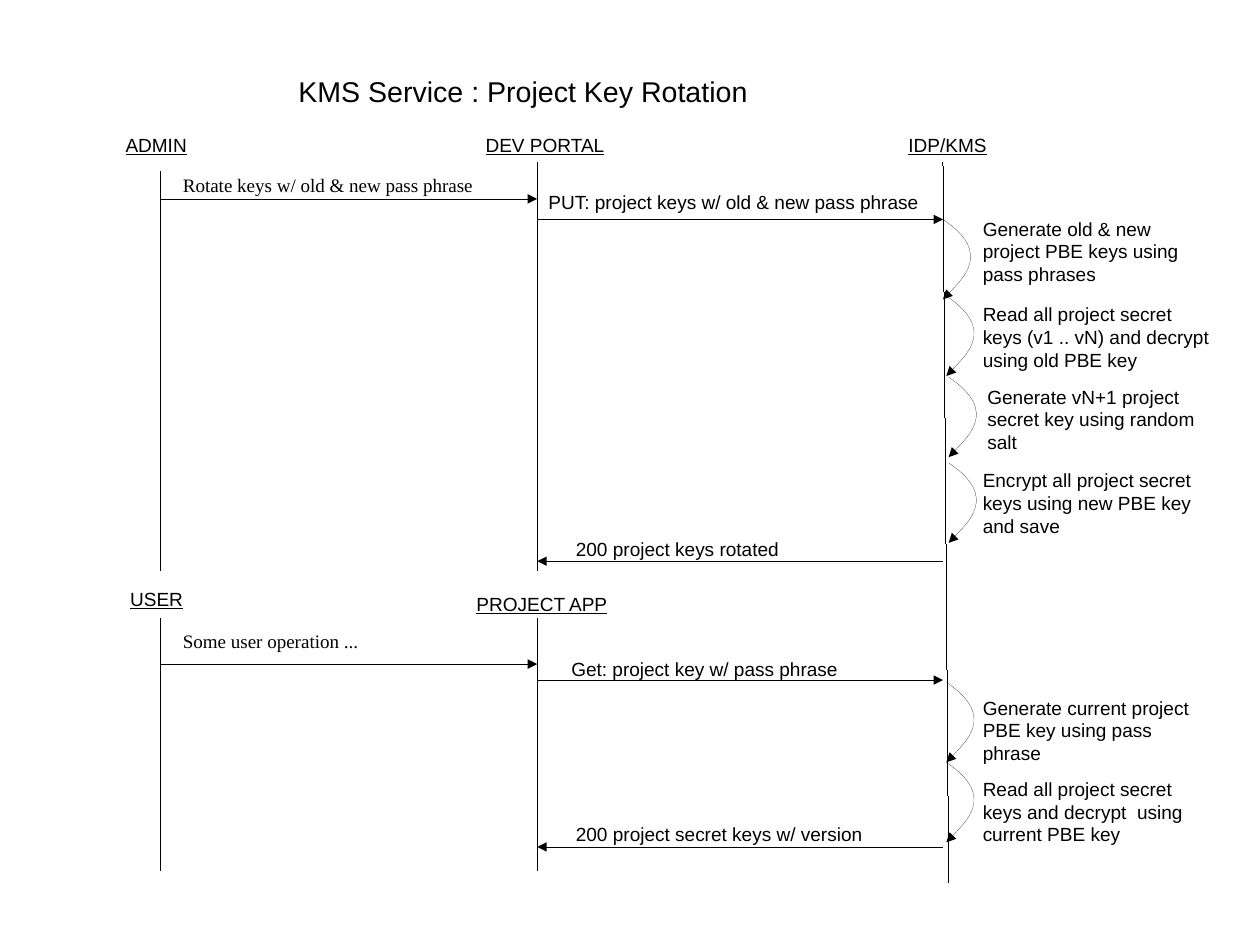
from lxml.etree import SubElement
from pptx import Presentation
from pptx.dml.color import RGBColor
from pptx.enum.shapes import MSO_CONNECTOR, MSO_SHAPE
from pptx.enum.text import MSO_ANCHOR, MSO_AUTO_SIZE, PP_ALIGN
from pptx.oxml.ns import qn
from pptx.util import Inches, Pt

COLORS = {"ink": "000000", "paper": "FFFFFF"}
CM_PER_INCH = 2.54
ADMIN, PORTAL, SERVICE = 0, 3.3, 6.85
SERIF = "Times New Roman"

ROTATION = {
    "actors": [("ADMIN", -0.4, 0, 1), ("DEV PORTAL", 2.75, 0, 1.5), ("IDP/KMS", 6.45, 0, 1)],
    "messages": [
        (ADMIN, PORTAL, 0.62, "Rotate keys w/ old & new pass phrase", (0.2, 0.4, 2.6, 0.19), SERIF),
        (PORTAL, SERVICE, 0.8, "PUT: project keys w/ old & new pass phrase", (3.3, 0.5, 3.47, 0.29), "Arial"),
        (SERVICE, PORTAL, 3.79, "200 project keys rotated", (3.54, 3.53, 2.6, 0.29), "Arial"),
    ],
    "steps": [
        (6.85, 0.8, 7.1, 0.73, "Generate old & new project PBE keys using pass phrases"),
        (6.88, 1.47, 7.1, 1.48, "Read all project secret keys (v1 .. vN) and decrypt using old PBE key"),
        (6.9, 2.18, 7.14, 2.2, "Generate vN+1 project secret key using random salt"),
        (6.9, 2.93, 7.1, 2.93, "Encrypt all project secret keys using new PBE key and save"),
    ],
}
USAGE = {
    "actors": [("USER", -0.36, 0.09, 1), ("PROJECT APP", 2.67, 0.13, 1.46)],
    "messages": [
        (ADMIN, PORTAL, 0.81, "Some user operation ...", (0.2, 0.51, 2.6, 0.19), SERIF),
        (PORTAL, SERVICE, 0.95, "Get: project key w/ pass phrase", (3.5, 0.7, 2.6, 0.29), "Arial"),
        (SERVICE, PORTAL, 2.41, "200 project secret keys w/ version", (3.54, 2.15, 2.86, 0.29), "Arial"),
    ],
    "steps": [
        (6.88, 0.97, 7.1, 1.04, "Generate current project PBE key using pass phrase"),
        (6.88, 1.67, 7.1, 1.75, "Read all project secret keys and decrypt  using current PBE key"),
    ],
}


def color(name):
    """Return a named colour."""
    return RGBColor.from_string(COLORS[name])


def style_line(shape, name, arrow=False):
    """Give a shape a plain hairline, with an arrowhead if asked."""
    shape._element.remove(shape._element.find(qn("p:style")))
    shape.line.color.rgb = color(name)
    outline = shape.line._get_or_add_ln()
    outline.set("w", "0")
    if arrow:
        SubElement(outline, qn("a:tailEnd"), type="triangle")


def add_line(page, start, end, arrow=False):
    """Draw a straight line between two points in inches."""
    line = page.shapes.add_connector(MSO_CONNECTOR.STRAIGHT, *map(Inches, start + end))
    style_line(line, "ink", arrow)
    SubElement(line._element.spPr, qn("a:effectLst"))


def add_loop(page, left, top, width=0.2, height=0.7):
    """Draw a curved arrow that returns to its lifeline."""
    builder = page.shapes.build_freeform(Inches(left), Inches(top))
    corners = [(left + width, top + height / 2), (left, top + height)]
    builder.add_line_segments([(Inches(x), Inches(y)) for x, y in corners], close=False)
    loop = builder.convert_to_shape()
    path = loop._element.find(".//" + qn("a:path"))
    for segment in path.findall(qn("a:lnTo")):
        path.remove(segment)
    curve = SubElement(path, qn("a:cubicBezTo"))
    for x, y in [(0.45, 0.3), (0, height), (0, height)]:
        SubElement(curve, qn("a:pt"), x=str(Inches(x)), y=str(Inches(y)))
    loop.fill.background()
    loop.shadow.inherit = False
    style_line(loop, "ink", True)


def format_text(frame, text, size, font="Arial", underline=None):
    """Fill a text frame with one formatted paragraph."""
    frame.text = text
    frame.word_wrap = True
    frame.auto_size = MSO_AUTO_SIZE.SHAPE_TO_FIT_TEXT
    frame.vertical_anchor = MSO_ANCHOR.TOP
    para = frame.paragraphs[0]
    para.alignment = PP_ALIGN.LEFT
    for span in para.runs:
        span.font.size = Pt(size)
        span.font.name = font
        span.font.underline = underline
        span.font.color.rgb = color("ink")


def add_label(page, box, text, font="Arial", underline=None):
    """Place a 12 point label in a box given in inches."""
    frame = page.shapes.add_textbox(*map(Inches, box)).text_frame
    if font == SERIF:
        frame.margin_left = frame.margin_top = frame.margin_right = frame.margin_bottom = 0
    format_text(frame, text, 12, font, underline)


def add_title(page, box):
    """Move the title placeholder into its box and fill it."""
    title = page.shapes.title
    title.left, title.top, title.width, title.height = map(Inches, box)
    format_text(title.text_frame, "KMS Service : Project Key Rotation", 18)


def add_lifelines(page, left, top):
    """Draw the three lifelines and the gaps between the two scenarios."""
    for start, end in [((0, 0.08), (0, 6.2)), ((3.3, 0), (3.3, 6.2)), ((6.85, 0), (6.9, 6.3))]:
        add_line(page, (left + start[0], top + start[1]), (left + end[0], top + end[1]))
    for offset in (-0.2, 2.91):
        box = (left + offset, top + 3.58, 0.8, 0.4)
        gap = page.shapes.add_shape(MSO_SHAPE.RECTANGLE, *map(Inches, box))
        gap.shadow.inherit = False
        gap.fill.solid()
        gap.fill.fore_color.rgb = color("paper")
        style_line(gap, "paper")


def add_scenario(page, left, top, scenario):
    """Draw the actors, messages and service steps of one scenario."""
    for text, x, y, width in scenario["actors"]:
        add_label(page, (left + x, top + y, width, 0.29), text, underline=True)
    for start, end, y, text, (label_x, label_y, width, height), font in scenario["messages"]:
        add_line(page, (left + start, top + y), (left + end, top + y), arrow=True)
        add_label(page, (left + label_x, top + label_y, width, height), text, font)
    for loop_x, loop_y, note_x, note_y, text in scenario["steps"]:
        add_loop(page, left + loop_x, top + loop_y)
        add_label(page, (left + note_x, top + note_y, 2.2, 0.66), text)


def main():
    """Build the sequence diagram and save the deck."""
    deck = Presentation()
    deck.slide_width = Inches(28 / CM_PER_INCH)
    deck.slide_height = Inches(21 / CM_PER_INCH)
    page = deck.slides.add_slide(deck.slide_layouts[5])
    add_title(page, (2.51, 0.6, 6, 0.38))
    add_lifelines(page, 1.4, 1.42)
    add_scenario(page, 1.4, 1.12, ROTATION)
    add_scenario(page, 1.4, 5, USAGE)
    deck.save("out.pptx")


if __name__ == "__main__":
    main()
